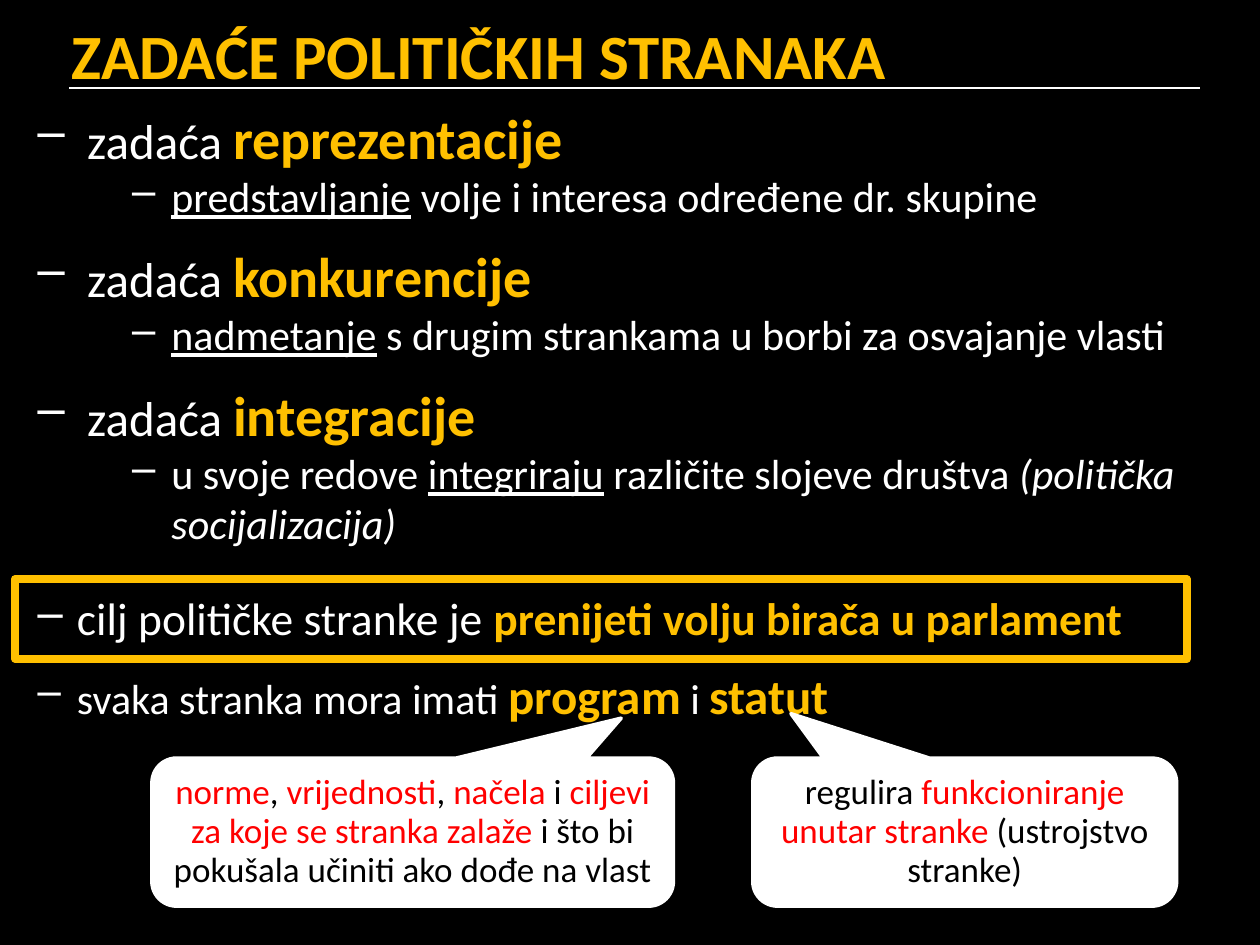
"""Build a slide on the tasks of political parties."""

from lxml.etree import SubElement
from pptx import Presentation
from pptx.dml.color import RGBColor
from pptx.enum.shapes import MSO_CONNECTOR, MSO_SHAPE
from pptx.enum.text import MSO_ANCHOR, PP_ALIGN
from pptx.oxml.ns import qn
from pptx.util import Pt

BLACK = RGBColor(0x00, 0x00, 0x00)
WHITE = RGBColor(0xFF, 0xFF, 0xFF)
GOLD = RGBColor(0xFF, 0xC0, 0x00)
RED = RGBColor(0xFF, 0x00, 0x00)


def span(text, size=24, color=WHITE, bold=None, italic=None, underline=None):
    return text, size, color, bold, italic, underline


def red(text):
    return span(text, size=20, color=RED)


def black(text):
    return span(text, size=20, color=BLACK)


def gold(text, size):
    return span(text, size=size, color=GOLD, bold=True)


class SlideBuilder:
    def __init__(self, slide, font="Calibri"):
        self.slide = slide
        self.font = font

    def background(self, color):
        fill = self.slide.background.fill
        fill.solid()
        fill.fore_color.rgb = color

    def add_spans(self, para, spans):
        for text, size, color, bold, italic, underline in spans:
            run = para.add_run()
            run.text = text
            font = run.font
            font.name = self.font
            font.size = Pt(size)
            font.color.rgb = color
            font.bold, font.italic, font.underline = bold, italic, underline

    def title(self, left, top, width, height, heading):
        box = self.slide.shapes.title
        box.left, box.top, box.width, box.height = map(Pt, (left, top, width, height))
        frame = box.text_frame
        frame.vertical_anchor = MSO_ANCHOR.TOP
        para = frame.paragraphs[0]
        para.alignment = PP_ALIGN.LEFT
        self.add_spans(para, [heading])

    def rule(self, left, right, y):
        line = self.slide.shapes.add_connector(
            MSO_CONNECTOR.STRAIGHT, Pt(left), Pt(y), Pt(right), Pt(y))
        line.line.color.rgb = WHITE
        line.line.width = Pt(1)
        SubElement(line._element.spPr, qn("a:effectLst"))

    def bullets(self, left, top, width, height, items):
        box = self.slide.shapes.add_textbox(*map(Pt, (left, top, width, height)))
        frame = box.text_frame
        frame.word_wrap = True
        for index, (level, margin, hanging, space, spans) in enumerate(items):
            para = frame.add_paragraph() if index else frame.paragraphs[0]
            para.level = level
            para.space_before = Pt(space)
            properties = para._p.get_or_add_pPr()
            properties.set("marL", str(Pt(margin)))
            properties.set("indent", str(Pt(-hanging)))
            bullet_color = SubElement(properties, qn("a:buClr"))
            SubElement(bullet_color, qn("a:srgbClr"), val=str(WHITE))
            SubElement(properties, qn("a:buChar"), char="–")
            self.add_spans(para, spans)

    def shape(self, kind, left, top, width, height, line, weight):
        shape = self.slide.shapes.add_shape(kind, *map(Pt, (left, top, width, height)))
        shape.shadow.inherit = False
        shape.line.color.rgb = line
        shape.line.width = Pt(weight)
        return shape

    def frame(self, left, top, width, height):
        box = self.shape(MSO_SHAPE.RECTANGLE, left, top, width, height, GOLD, 4.5)
        box.fill.background()

    def callout(self, left, top, width, height, tip, spans):
        shape = self.shape(MSO_SHAPE.ROUNDED_RECTANGULAR_CALLOUT,
                           left, top, width, height, WHITE, 2)
        shape.fill.solid()
        shape.fill.fore_color.rgb = WHITE
        shape.adjustments[0], shape.adjustments[1] = tip
        frame = shape.text_frame
        frame.word_wrap = True
        frame.vertical_anchor = MSO_ANCHOR.MIDDLE
        para = frame.paragraphs[0]
        para.alignment = PP_ALIGN.CENTER
        para.line_spacing = 0.93
        self.add_spans(para, spans)


def task(name, space, *details):
    return [(0, 28.35, 28.35, space, [span("zadaća ", size=28), gold(name, 32)]),
            (1, 76.5, 22.5, 0, details)]


def main():
    deck = Presentation()
    deck.slide_width, deck.slide_height = Pt(720), Pt(540)
    page = SlideBuilder(deck.slides.add_slide(deck.slide_layouts[5]))
    page.background(BLACK)
    page.rule(39.5, 686, 50.4)
    page.title(33.8, 5.8, 686.2, 45.4, gold("ZADAĆE POLITIČKIH STRANAKA", 36))
    page.bullets(14.4, 55.4, 700, 326, [
        *task("reprezentacije", 6,
              span("predstavljanje", underline=True),
              span(" volje i interesa određene dr. skupine")),
        *task("konkurencije", 12,
              span("nadmetanje", underline=True),
              span(" s drugim strankama u borbi za osvajanje vlasti")),
        *task("integracije", 12,
              span("u svoje redove "),
              span("integriraju", underline=True),
              span(" različite slojeve društva "),
              span("(politička socijalizacija)", italic=True)),
        (0, 22.5, 22.5, 24, [span("cilj političke stranke je ", size=26),
                             gold("prenijeti volju birača u parlament", 26)]),
        (0, 22.5, 22.5, 12, [span("svaka stranka mora imati "), gold("program", 28),
                             span(" i "), gold("statut", 28)]),
    ])
    page.frame(8.6, 331, 669.6, 45.4)
    page.callout(430.2, 433.2, 242.2, 84.6, (-0.41, -0.8), [
        black("regulira "), red("funkcioniranje unutar stranke"),
        black(" (ustrojstvo stranke)")])
    page.callout(86.8, 433.2, 298, 84.6, (0.4, -0.77), [
        red("norme"), black(", "), red("vrijednosti"), black(", "),
        red("načela "), black("i "), red("ciljevi za koje se stranka zalaže "),
        black("i što bi pokušala učiniti ako dođe na vlast")])
    deck.save("out.pptx")


if __name__ == "__main__":
    main()
